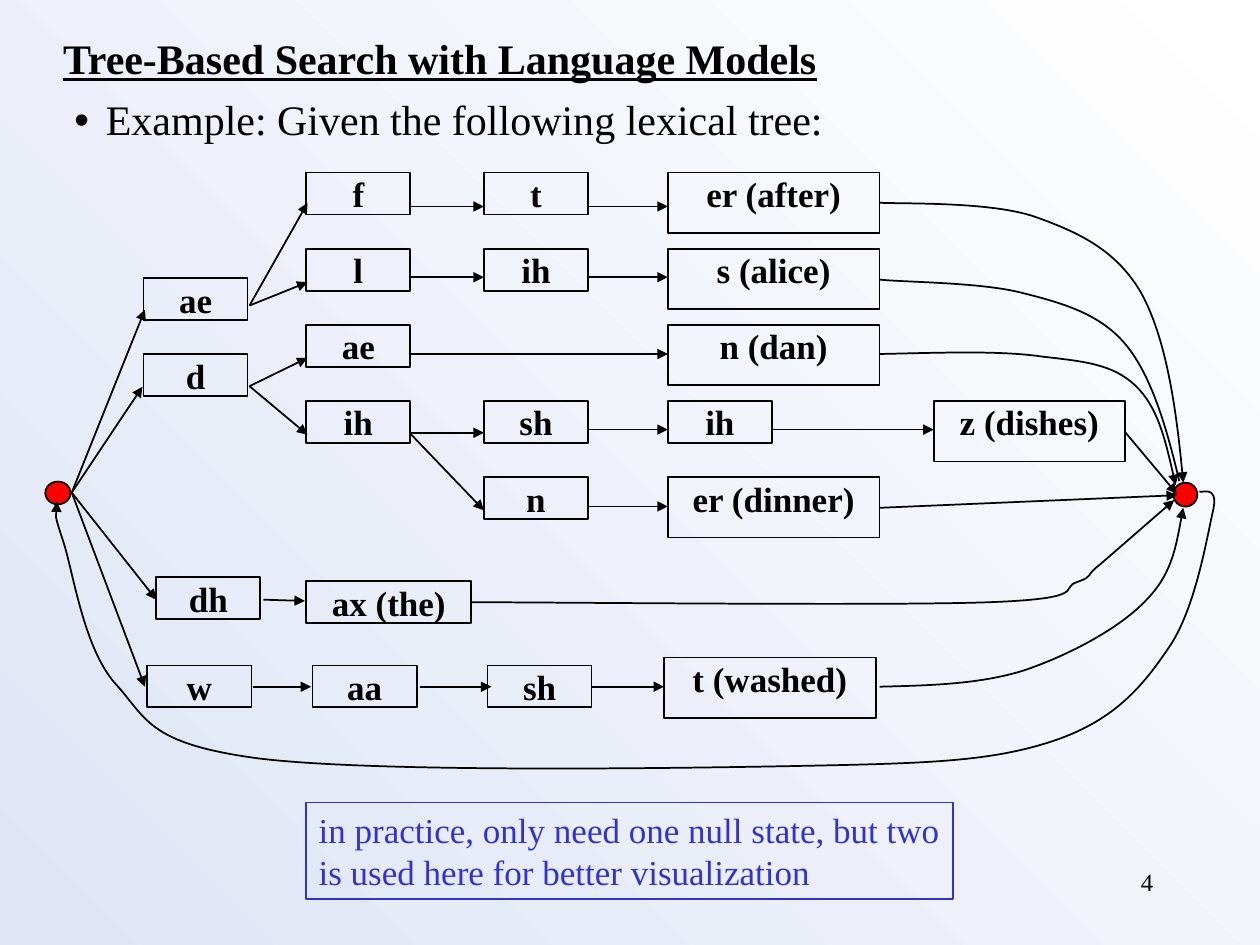
from pptx import Presentation
from pptx.dml.color import RGBColor
from pptx.enum.shapes import MSO_CONNECTOR as Connector, MSO_SHAPE as Shape
from pptx.enum.text import MSO_ANCHOR as Anchor, MSO_AUTO_SIZE as AutoSize, PP_ALIGN as Align
from pptx.oxml.ns import qn
from pptx.util import Pt
from lxml.etree import SubElement

COLORS = {"ink": "000000", "note": "3333CC", "state": "FF0000",
          "light": "FFFFFF", "tint": "DFE5F5"}
FONT = "Times New Roman"
SMALL, WIDE = (59.5, 24), (121, 34.6)
ROWS = [98.6 + 43.5 * row for row in range(5)]
COL_A, COL_B, COL_C = 175, 276.5, 381.6
END_A, END_B, END_C = 234, 336.2, 502.6
BOTTOM, BOTTOM_ARROW = 380.2, 392.4

PHONES = [
    ("ae", 82, 159, SMALL), ("d", 82, 202.3, SMALL),
    ("dh", 89.3, 329.8, SMALL), ("w", 84.2, BOTTOM, SMALL),
    ("f", COL_A, ROWS[0], SMALL), ("t", COL_B, ROWS[0], SMALL),
    ("er (after)", COL_C, ROWS[0], WIDE),
    ("l", COL_A, ROWS[1], SMALL), ("ih", COL_B, ROWS[1], SMALL),
    ("s (alice)", COL_C, ROWS[1], WIDE),
    ("ae", COL_A, ROWS[2], SMALL), ("n (dan)", COL_C, ROWS[2], WIDE),
    ("ih", COL_A, ROWS[3], SMALL), ("sh", COL_B, ROWS[3], SMALL),
    ("ih", COL_C, ROWS[3], SMALL), ("z (dishes)", 533.5, ROWS[3], (109.4, 34.6)),
    ("n", COL_B, ROWS[4], SMALL), ("er (dinner)", COL_C, ROWS[4], WIDE),
    ("ax (the)", COL_A, 332, (94.3, 24)),
    ("aa", 178.6, BOTTOM, SMALL), ("sh", 278.6, BOTTOM, SMALL),
    ("t (washed)", 379.4, 375.8, WIDE),
]

# Each start point with the points its arrows lead to
BRANCHES = [
    ((41, 281.5), [(82.8, 177), (81.4, 221), (89.3, 342.7), (82.8, BOTTOM_ARROW)]),
    ((142.6, 174.6), [(175.7, 116), (175.7, 161.3)]),
    ((142.6, 220.7), [(175.7, 204.5), (175.7, 248.4)]),
    ((150.5, 342.7), [(174.2, 343.4)]),
    ((END_A, 247.3), [(COL_B, 247.3), (COL_B, 291.6)]),
    ((643, 247), [(672.5, 282.2)]),
    ((END_C, 290.2), [(672.5, 283)]),
]

# Level arrows: height, then start and end of each
LEVELS = [
    (118, [(END_A, COL_B), (END_B, COL_C)]),
    (158.4, [(END_A, COL_B), (END_B, COL_C)]),
    (202.3, [(END_A, COL_C)]),
    (245.5, [(END_B, COL_C), (441.4, 533.5)]),
    (289.4, [(END_B, COL_C)]),
    (BOTTOM_ARROW, [(144.7, 177.8), (239.8, 280.8), (338.4, 379.4)]),
]

# Start point, then two control points and an end point per segment
CURVES = [
    ([(502.6, 115.9), (517, 116.6), (565.9, 115.2), (591.1, 123.8),
      (615.6, 132.5), (637.9, 142.6), (652.3, 167.8),
      (666, 193), (672.5, 234.7), (676.1, 275.8)], True),
    ([(502.6, 159.8), (515.5, 161.3), (558.7, 161.3), (582.5, 167),
      (605.5, 172.8), (627.8, 178.6), (643, 196.6),
      (658.1, 214.6), (666.7, 244.8), (673.9, 275)], False),
    ([(502.6, 202.3), (537.1, 201.6), (571, 200.2), (595.4, 203.8),
      (619.9, 206.6), (635.8, 208.1), (648.7, 220.3),
      (661.7, 232.6), (666.7, 254.9), (671.8, 277.2)], True),
    ([(502.6, 392.4), (531.4, 391.7), (560.2, 391), (585.4, 383),
      (610.6, 374.4), (639.4, 359.3), (654.5, 343.4),
      (669.6, 328.3), (672.5, 309.6), (676.1, 290.2)], True),
    ([(268.6, 344.2), (318.2, 344.2), (507.6, 346.3), (565.2, 344.2),
      (623.5, 342), (604.8, 336.2), (615.6, 332.6),
      (625.7, 329), (619.2, 329.8), (628.6, 322.6),
      (637.9, 314.6), (661.7, 293.8), (671, 285.8)], True),
    ([(685.4, 280.8), (686.2, 282.2), (696.2, 276.5), (693.4, 290.9),
      (689.8, 306), (683.3, 348.5), (667.4, 370.8),
      (652.3, 393.1), (635.8, 412.6), (599.8, 424.1),
      (563.8, 435.6), (527, 436.3), (451.4, 437.8),
      (375.8, 439.2), (212.4, 441.4), (147.6, 433.4),
      (83.5, 424.8), (84.2, 410.4), (65.5, 390.2),
      (47.5, 369.4), (41.8, 326.2), (36, 308.9),
      (30.2, 291.6), (33.1, 290.9), (32.4, 286.6)], True),
]


def color(name):
    """Return a named colour."""
    return RGBColor.from_string(COLORS[name])


def points(*values):
    """Turn numbers into lengths in points."""
    return [Pt(value) for value in values]


def paint_background(slide):
    """Lay a diagonal gradient on the slide."""
    fill = slide.background.fill
    fill.gradient()
    fill.gradient_angle = 225
    for stop, name in zip(fill.gradient_stops, ("light", "tint")):
        stop.color.rgb = color(name)


def style_line(shape, name="ink", arrow=False):
    """Set the outline and, if asked, an arrowhead at its end."""
    shape.line.color.rgb = color(name)
    shape.line.width = Pt(1)
    if arrow:
        SubElement(shape.element.spPr.find(qn("a:ln")), qn("a:tailEnd"), type="triangle")


def write(shape, lines, size, name="ink", bold=None, underline=None,
          align=Align.LEFT, inset=3.6, wrap=True):
    """Write one paragraph, with a break between lines, and return it."""
    frame = shape.text_frame
    frame.auto_size = AutoSize.NONE
    frame.word_wrap = wrap
    frame.vertical_anchor = Anchor.TOP
    frame.margin_left = frame.margin_right = Pt(7.2)
    frame.margin_top = frame.margin_bottom = Pt(inset)
    paragraph = frame.paragraphs[0]
    paragraph.alignment = align
    paragraph.space_before = Pt(0)
    for index, line in enumerate(lines):
        if index:
            paragraph.add_line_break()
        run = paragraph.add_run()
        run.text = line
        font = run.font
        font.name, font.size, font.bold, font.underline = FONT, Pt(size), bold, underline
        font.color.rgb = color(name)
    return paragraph


def place(shape, left, top, width, height):
    """Move and size a placeholder."""
    shape.left, shape.top, shape.width, shape.height = points(left, top, width, height)


def add_outline(slide, kind, box, line="ink", fill=None):
    """Add a preset shape with a thin line."""
    shape = slide.shapes.add_shape(kind, *points(*box))
    shape.shadow.inherit = False
    if fill:
        shape.fill.solid()
        shape.fill.fore_color.rgb = color(fill)
    else:
        shape.fill.background()
    style_line(shape, line)
    return shape


def add_arrow(slide, start, end):
    """Add a straight arrow."""
    arrow = slide.shapes.add_connector(Connector.STRAIGHT, *points(*start, *end))
    style_line(arrow, arrow=True)
    SubElement(arrow.element.spPr, qn("a:effectLst"))


def add_curve(slide, knots, arrow):
    """Add an open path of cubic curves."""
    start, *rest = [points(*knot) for knot in knots]
    builder = slide.shapes.build_freeform(*start, scale=1.0)
    builder.add_line_segments(rest, close=False)
    curve = builder.convert_to_shape()
    curve.shadow.inherit = False
    curve.fill.background()
    style_line(curve, arrow=arrow)
    segments = list(curve.element.iter(qn("a:lnTo")))
    for index in range(0, len(segments), 3):
        bezier = SubElement(segments[index].getparent(), qn("a:cubicBezTo"))
        for segment in segments[index:index + 3]:
            bezier.append(segment[0])
            segment.getparent().remove(segment)


def main():
    """Build the slide and save it."""
    presentation = Presentation()
    presentation.slide_width, presentation.slide_height = points(720, 540)
    slide = presentation.slides.add_slide(presentation.slide_layouts[1])
    paint_background(slide)
    title, body = slide.shapes.title, slide.placeholders[1]
    place(title, 28.8, 15.1, 448, 36)
    write(title, ["Tree-Based Search with Language Models"], 24,
          bold=True, underline=True, wrap=False)
    place(body, 35.3, 53.3, 664.6, 33.1)
    bullet = write(body, ["Example: Given the following lexical tree:"], 24)
    bullet.line_spacing = 0.9
    properties = bullet._p.get_or_add_pPr()
    properties.set("marL", str(Pt(18)))
    properties.set("indent", str(Pt(-18)))
    for text, left, top, size in PHONES:
        box = add_outline(slide, Shape.RECTANGLE, (left, top, *size))
        write(box, [text], 20, bold=True, align=Align.CENTER, inset=0)
    for state in ((25.9, 275.2, 14.4, 13), (670.5, 275.8, 13.7, 13.7)):
        add_outline(slide, Shape.OVAL, state, fill="state")
    for start, ends in BRANCHES:
        for end in ends:
            add_arrow(slide, start, end)
    for height, spans in LEVELS:
        for left, right in spans:
            add_arrow(slide, (left, height), (right, height))
    for knots, arrow in CURVES:
        add_curve(slide, knots, arrow)
    note = add_outline(slide, Shape.RECTANGLE, (175, 458.6, 369.4, 55.4), line="note")
    write(note, ["in practice, only need one null state, but two",
                 "is used here for better visualization"], 20, name="note", wrap=False)
    number = slide.shapes.add_textbox(*points(516.2, 491.8, 149.8, 36))
    write(number, ["4"], 14, align=Align.RIGHT)
    presentation.save("out.pptx")


main()
